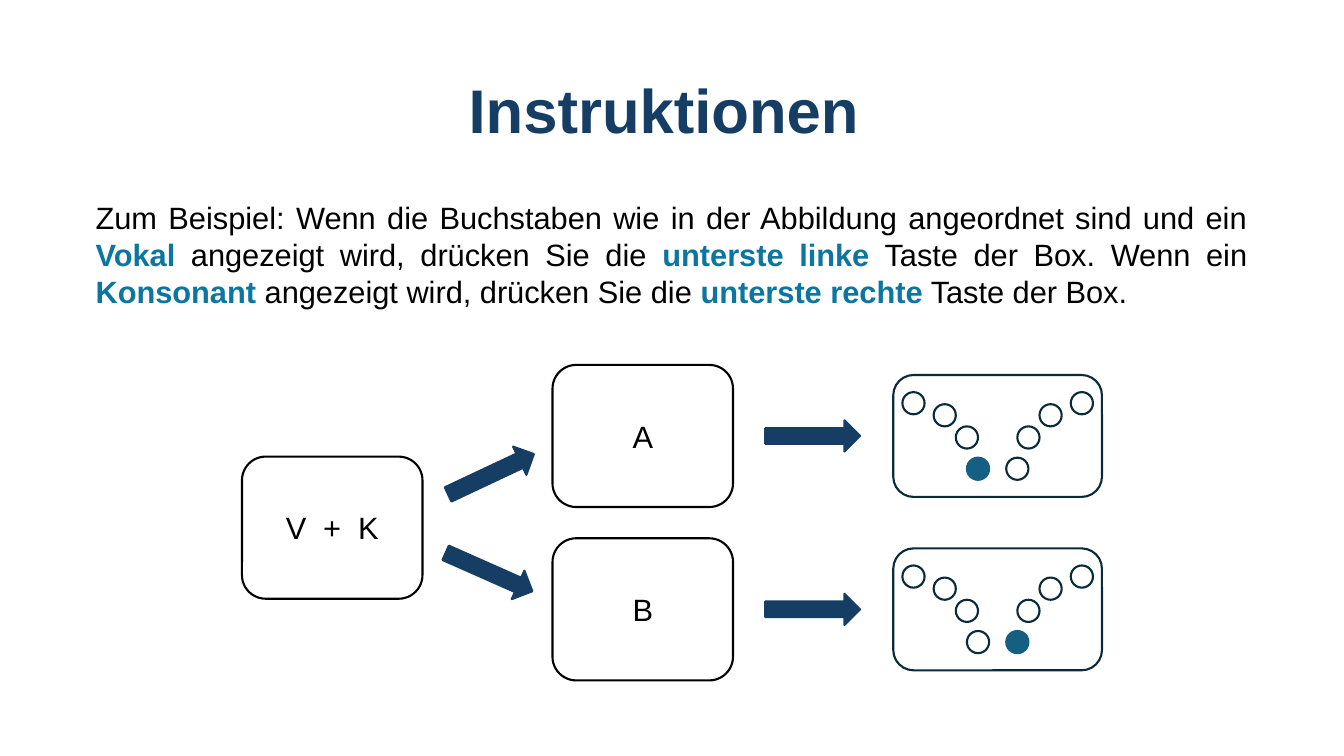
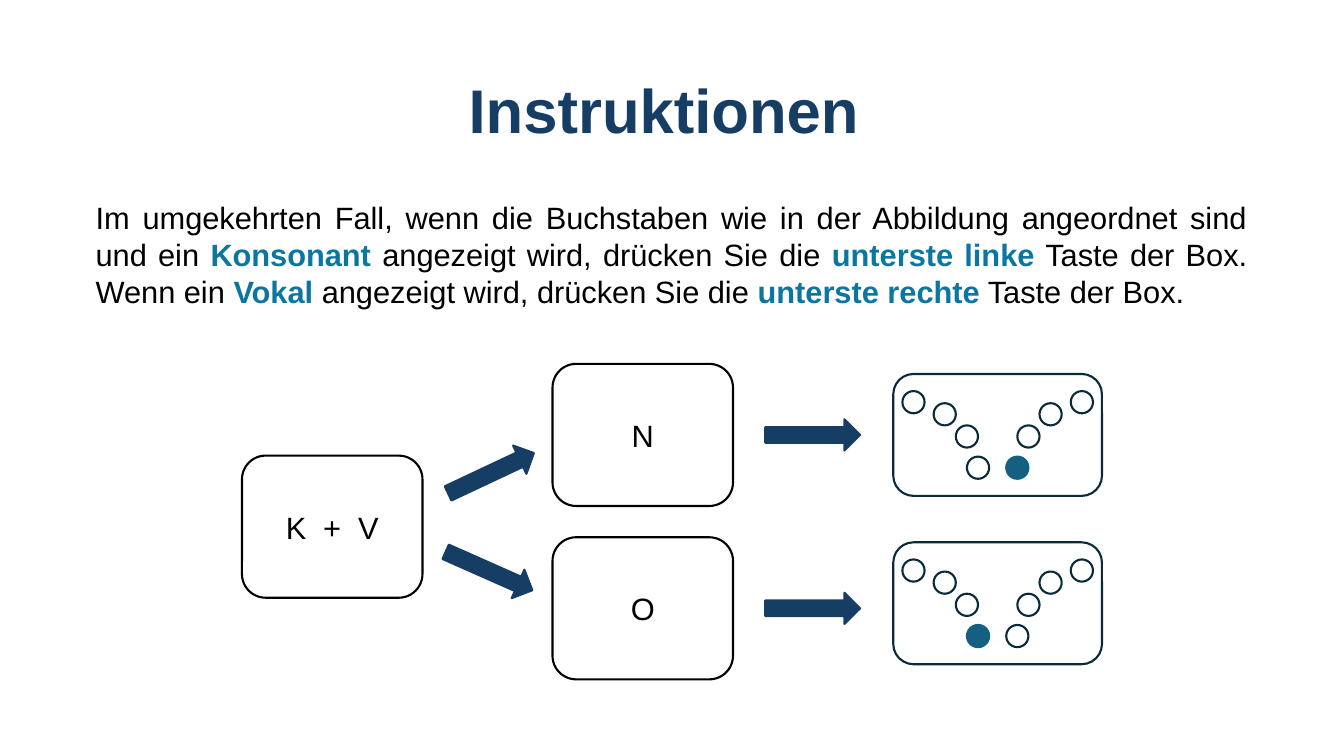
from pptx import Presentation
from pptx.dml.color import RGBColor
from pptx.enum.shapes import MSO_SHAPE
from pptx.enum.text import MSO_ANCHOR, MSO_AUTO_SIZE, PP_ALIGN
from pptx.util import Inches, Pt

NAVY = "163E64"
ACCENT = "0B76A0"
BLACK = "000000"
PANEL_LINE = "092A39"
PRESSED = "156082"


def color(value):
    return RGBColor.from_string(value)


def write(frame, text, size=22, ink=BLACK, bold=False, align=PP_ALIGN.CENTER,
          line_spacing=None, tracking=None):
    frame.word_wrap = True
    paragraph = frame.paragraphs[0]
    paragraph.alignment = align
    paragraph.line_spacing = line_spacing
    for index, part in enumerate(text.split("*")):
        emphasized = index % 2 == 1
        run = paragraph.add_run()
        run.text = part
        run.font.name = "Arial"
        run.font.size = Pt(size)
        run.font.bold = bold or emphasized
        run.font.color.rgb = color(ACCENT if emphasized else ink)
        if tracking:
            run.font._element.set("spc", str(tracking))


class InstructionDeck:
    BOX_WIDTH, BOX_HEIGHT = 1.79, 1.41
    PANEL_WIDTH, PANEL_HEIGHT = 2.07, 1.21
    KEY_SIZE = 0.22
    LEFT_KEYS = [(0.09, 0.17), (0.4, 0.29), (0.62, 0.51), (0.73, 0.82)]
    ROW_PITCH = 1.72

    def __init__(self):
        self.deck = Presentation()
        self.deck.slide_width = Inches(13.33)
        self.deck.slide_height = Inches(7.5)
        self.slide = None

    def start_slide(self, heading):
        self.slide = self.deck.slides.add_slide(self.deck.slide_layouts[5])
        title = self.slide.shapes.title
        title.left, title.top = Inches(0.92), Inches(0.4)
        title.width, title.height = Inches(11.5), Inches(1.45)
        title.text_frame.vertical_anchor = MSO_ANCHOR.MIDDLE
        write(title.text_frame, heading, size=44, ink=NAVY, bold=True,
              line_spacing=0.9)

    def instruction(self, text):
        body = self.slide.shapes.add_textbox(
            Inches(0.85), Inches(1.92), Inches(11.62), Inches(1.21))
        body.text_frame.auto_size = MSO_AUTO_SIZE.SHAPE_TO_FIT_TEXT
        write(body.text_frame, text, align=PP_ALIGN.JUSTIFY)

    def outline(self, kind, left, top, width, height, line, fill=None):
        shape = self.slide.shapes.add_shape(
            kind, Inches(left), Inches(top), Inches(width), Inches(height))
        shape.shadow.inherit = False
        shape.line.color.rgb = color(line)
        shape.line.width = Pt(1.5)
        if fill:
            shape.fill.solid()
            shape.fill.fore_color.rgb = color(fill)
        else:
            shape.fill.background()
        return shape

    def letter_box(self, text, left, top, tracking=None):
        box = self.outline(MSO_SHAPE.ROUNDED_RECTANGLE, left, top,
                           self.BOX_WIDTH, self.BOX_HEIGHT, BLACK)
        box.text_frame.vertical_anchor = MSO_ANCHOR.MIDDLE
        write(box.text_frame, text, tracking=tracking)

    def arrow(self, left, top, rotation=0):
        arrow = self.outline(MSO_SHAPE.RIGHT_ARROW, left, top, 0.94, 0.31,
                             NAVY, NAVY)
        arrow.rotation = rotation

    def button_panel(self, top, pressed_side):
        left = 8.86
        self.outline(MSO_SHAPE.ROUNDED_RECTANGLE, left, top,
                     self.PANEL_WIDTH, self.PANEL_HEIGHT, PANEL_LINE)
        for side in ("left", "right"):
            for key_x, key_y in self.LEFT_KEYS:
                pressed = side == pressed_side and (key_x, key_y) == self.LEFT_KEYS[-1]
                if side == "right":
                    key_x = self.PANEL_WIDTH - self.KEY_SIZE - key_x
                self.outline(MSO_SHAPE.OVAL, left + key_x, top + key_y,
                             self.KEY_SIZE, self.KEY_SIZE,
                             PRESSED if pressed else PANEL_LINE,
                             PRESSED if pressed else None)

    def diagram(self, top, order, outcomes, panel_pitch):
        self.letter_box(order, 2.4, top + 0.91, tracking=300)
        self.arrow(4.4, top + 0.93, 334.8)
        self.arrow(4.38, top + 1.9, 23.9)
        for row, (letter, pressed_side) in enumerate(outcomes):
            row_top = top + row * self.ROW_PITCH
            self.letter_box(letter, 5.48, row_top)
            self.arrow(7.59, row_top + 0.55)
            self.button_panel(top + 0.1 + row * panel_pitch, pressed_side)


def main():
    lessons = [
        ("Zum Beispiel: Wenn die Buchstaben wie in der Abbildung angeordnet sind "
         "und ein *Vokal* angezeigt wird, drücken Sie die *unterste linke* Taste "
         "der Box. Wenn ein *Konsonant* angezeigt wird, drücken Sie die "
         "*unterste rechte* Taste der Box.",
         3.62, "V + K", [("A", "left"), ("B", "right")], 1.72),
        ("Im umgekehrten Fall, wenn die Buchstaben wie in der Abbildung "
         "angeordnet sind und ein *Konsonant* angezeigt wird, drücken Sie die "
         "*unterste linke* Taste der Box. Wenn ein *Vokal* angezeigt wird, "
         "drücken Sie die *unterste rechte* Taste der Box.",
         3.61, "K + V", [("N", "right"), ("O", "left")], 1.67),
    ]
    presentation = InstructionDeck()
    for text, top, order, outcomes, panel_pitch in lessons:
        presentation.start_slide("Instruktionen ")
        presentation.instruction(text)
        presentation.diagram(top, order, outcomes, panel_pitch)
    presentation.deck.save("out.pptx")


if __name__ == "__main__":
    main()
